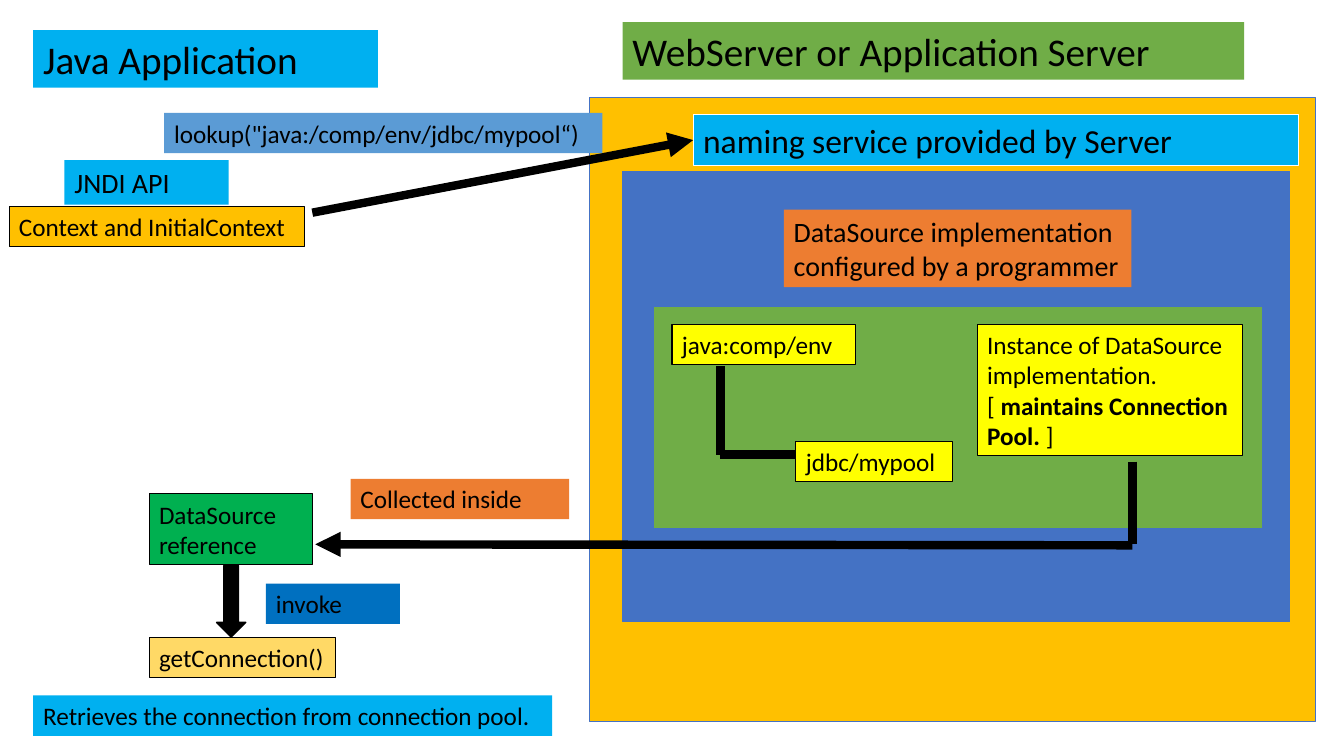
import pptx
import pptx.util
import pptx.dml.color
import pptx.enum.shapes
import pptx.enum.text
import pptx.oxml.ns
from lxml import etree

Inches = pptx.util.Inches
Pt = pptx.util.Pt
MSO_SHAPE = pptx.enum.shapes.MSO_SHAPE
BLACK, YELLOW, CYAN = "000000", "FFFF00", "00B0F0"
GREEN, ORANGE, AMBER, BLUE = "70AD47", "ED7D31", "FFC000", "4472C4"


def color(value):
    return pptx.dml.color.RGBColor.from_string(value)


def add_block(s, box, fill, line=None, width=0.75, kind=MSO_SHAPE.RECTANGLE):
    sp = s.shapes.add_shape(kind, *[Inches(v) for v in box])
    sp.shadow.inherit = False
    sp.fill.solid()
    sp.fill.fore_color.rgb = color(fill)
    if line:
        sp.line.color.rgb = color(line)
        sp.line.width = Pt(width)
    else:
        sp.line.fill.background()
    return sp


def add_label(s, box, fill, paragraphs, size=18, line=None):
    sp = add_block(s, box, fill, line)
    tf = sp.text_frame
    tf.word_wrap = True
    tf.auto_size = pptx.enum.text.MSO_AUTO_SIZE.SHAPE_TO_FIT_TEXT
    tf.vertical_anchor = pptx.enum.text.MSO_ANCHOR.TOP
    for i, runs in enumerate(paragraphs):
        p = tf.add_paragraph() if i else tf.paragraphs[0]
        p.alignment = pptx.enum.text.PP_ALIGN.LEFT
        p.font.name = "Calibri"
        p.font.size = Pt(size)
        p.font.color.rgb = color(BLACK)
        for text, bold in runs:
            r = p.add_run()
            r.text = text
            if bold:
                r.font.bold = True
    return sp


def plain(text):
    return [[(text, False)]]


def add_line(s, start, end, arrow=False):
    c = s.shapes.add_connector(
        pptx.enum.shapes.MSO_CONNECTOR.STRAIGHT,
        *[Inches(v) for v in start + end])
    c.line.color.rgb = color(BLACK)
    c.line.width = Pt(6)
    if arrow:
        ln = c.line._get_or_add_ln()
        etree.SubElement(ln, pptx.oxml.ns.qn("a:tailEnd"), type="triangle")
    etree.SubElement(c._element.spPr, pptx.oxml.ns.qn("a:effectLst"))
    return c


def add_server(s):
    add_block(s, (5.85, 0.97, 7.21, 6.19), AMBER, BLUE)
    add_label(s, (6.18, 0.22, 6.17, 0.57), GREEN,
              plain("WebServer or Application Server"), 28)
    add_block(s, (6.18, 1.7, 6.62, 4.47), BLUE, BLUE)
    add_block(s, (6.49, 3.04, 6.04, 2.2), GREEN, BLUE)
    naming = add_label(s, (6.88, 1.14, 6.01, 0.5), CYAN,
                       plain("naming service provided by Server"), 24, "FFFFFF")
    add_label(s, (7.78, 2.08, 3.45, 0.77), ORANGE,
              plain("DataSource implementation configured by a programmer"), 20)
    add_label(s, (9.7, 3.22, 2.63, 1.3), YELLOW, [
        [("Instance of DataSource implementation.", False)],
        [("[ ", False), ("maintains Connection Pool. ", True), ("]", False)],
    ], line=BLACK)
    add_label(s, (6.67, 3.22, 1.82, 0.4), YELLOW, plain("java:comp/env"), line=BLACK)
    add_line(s, (7.15, 3.63), (7.15, 4.51))
    add_line(s, (7.15, 4.51), (7.9, 4.51))
    add_label(s, (7.9, 4.38, 1.55, 0.4), YELLOW, plain("jdbc/mypool"), line=BLACK)
    return naming


def add_application(s, naming):
    add_label(s, (0.33, 0.3, 3.42, 0.57), CYAN, plain("Java Application"), 28)
    add_label(s, (0.09, 2.05, 2.93, 0.4), AMBER,
              plain("Context and InitialContext"), line=BLACK)
    add_label(s, (0.64, 1.59, 1.63, 0.44), CYAN, plain("JNDI API"), 20)
    lookup = add_line(s, (3.1, 2.11), (6.88, 1.39), arrow=True)
    lookup.end_connect(naming, 1)
    add_label(s, (1.63, 1.12, 4.35, 0.4), "5B9BD5",
              plain('lookup("java:/comp/env/jdbc/mypool“)'))
    add_label(s, (1.48, 4.9, 1.62, 0.7), "00B050",
              plain("DataSource reference"), line=BLACK)
    add_label(s, (3.48, 4.75, 2.17, 0.4), ORANGE, plain("Collected inside"))
    add_line(s, (11.24, 5.41), (3.13, 5.4), arrow=True)
    add_line(s, (11.24, 4.58), (11.24, 5.4))
    add_block(s, (2.15, 5.61, 0.29, 0.71), BLACK, BLACK, 1, MSO_SHAPE.DOWN_ARROW)
    add_label(s, (1.48, 6.32, 1.85, 0.4), "FFD966", plain("getConnection()"), line=BLACK)
    add_label(s, (0.33, 6.9, 5.15, 0.4), CYAN,
              plain("Retrieves the connection from connection pool."))
    add_label(s, (2.64, 5.79, 1.33, 0.4), "0070C0", plain("invoke"))


def main():
    prs = pptx.Presentation()
    prs.slide_width = Inches(13.34)
    prs.slide_height = Inches(7.5)
    s = prs.slides.add_slide(prs.slide_layouts[6])
    naming = add_server(s)
    add_application(s, naming)
    prs.save("out.pptx")


if __name__ == "__main__":
    main()
